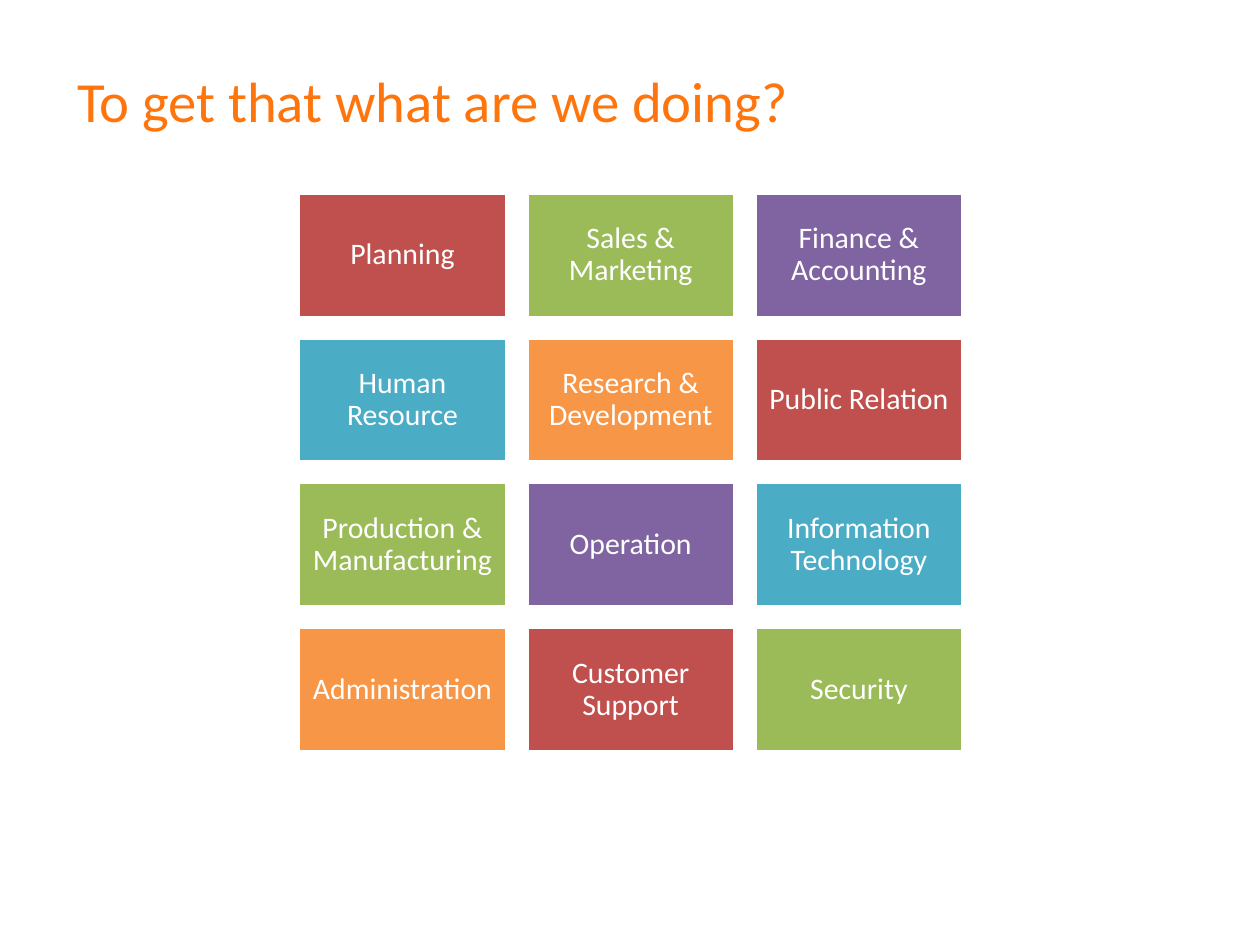
"""Build a slide with a titled grid of business functions."""
from dataclasses import dataclass

from pptx import Presentation
from pptx.dml.color import RGBColor
from pptx.enum.shapes import MSO_SHAPE
from pptx.enum.text import MSO_ANCHOR, MSO_AUTO_SIZE, PP_ALIGN
from pptx.util import Cm, Pt

RECT = MSO_SHAPE.RECTANGLE
MIDDLE = MSO_ANCHOR.MIDDLE
FIXED = MSO_AUTO_SIZE.NONE
LEFT, CENTER = PP_ALIGN.LEFT, PP_ALIGN.CENTER
TITLE_ONLY = 5


@dataclass(frozen=True)
class Theme:
    font: str = "Calibri"
    title: str = "FF750D"
    white: str = "FFFFFF"
    tiles: tuple = ("C0504D", "9BBB59", "8064A2", "4BACC6", "F79646")
    head: float = 32.4
    body: float = 17
    edge: float = 2


theme = Theme()
names = [
    "Planning", "Sales & Marketing", "Finance & Accounting",
    "Human Resource", "Research & Development", "Public Relation",
    "Production & Manufacturing", "Operation", "Information Technology",
    "Administration", "Customer Support", "Security",
]
cols = 3
left, top = 6.02, 3.89
width, height = 4.19, 2.51
step_x, step_y = 4.6, 2.92
pad = Cm(0.18)


def apply(item, values):
    for name, value in values.items():
        setattr(item, name, value)


def write(shape, text, size, color, frame, para):
    box = shape.text_frame
    box.text = text
    apply(box, {"word_wrap": True, "auto_size": FIXED,
                "vertical_anchor": MIDDLE, **frame})
    line = box.paragraphs[0]
    apply(line, para)
    font = line.runs[0].font
    apply(font, {"name": theme.font, "size": Pt(size), "bold": False})
    font.color.rgb = RGBColor.from_string(color)


deck = Presentation()
apply(deck, {"slide_width": Cm(25.4), "slide_height": Cm(19.05)})
slide = deck.slides.add_slide(deck.slide_layouts[TITLE_ONLY])

title = slide.shapes.title
apply(title, {"left": Cm(1.3), "top": Cm(1.27),
              "width": Cm(22.86), "height": Cm(1.47)})
write(title, "To get that what are we doing?", theme.head, theme.title,
      {}, {"alignment": LEFT})

inset = {f"margin_{side}": pad for side in ("left", "top", "right", "bottom")}
grid = slide.shapes.add_group_shape()
for i, name in enumerate(names):
    row, col = divmod(i, cols)
    tile = grid.shapes.add_shape(
        RECT, Cm(left + col * step_x), Cm(top + row * step_y),
        Cm(width), Cm(height))
    tile.shadow.inherit = False
    tile.fill.solid()
    tile.fill.fore_color.rgb = RGBColor.from_string(
        theme.tiles[i % len(theme.tiles)])
    tile.line.color.rgb = RGBColor.from_string(theme.white)
    tile.line.width = Pt(theme.edge)
    write(tile, name, theme.body, theme.white, inset,
          {"alignment": CENTER, "line_spacing": 0.9})

deck.save("out.pptx")
